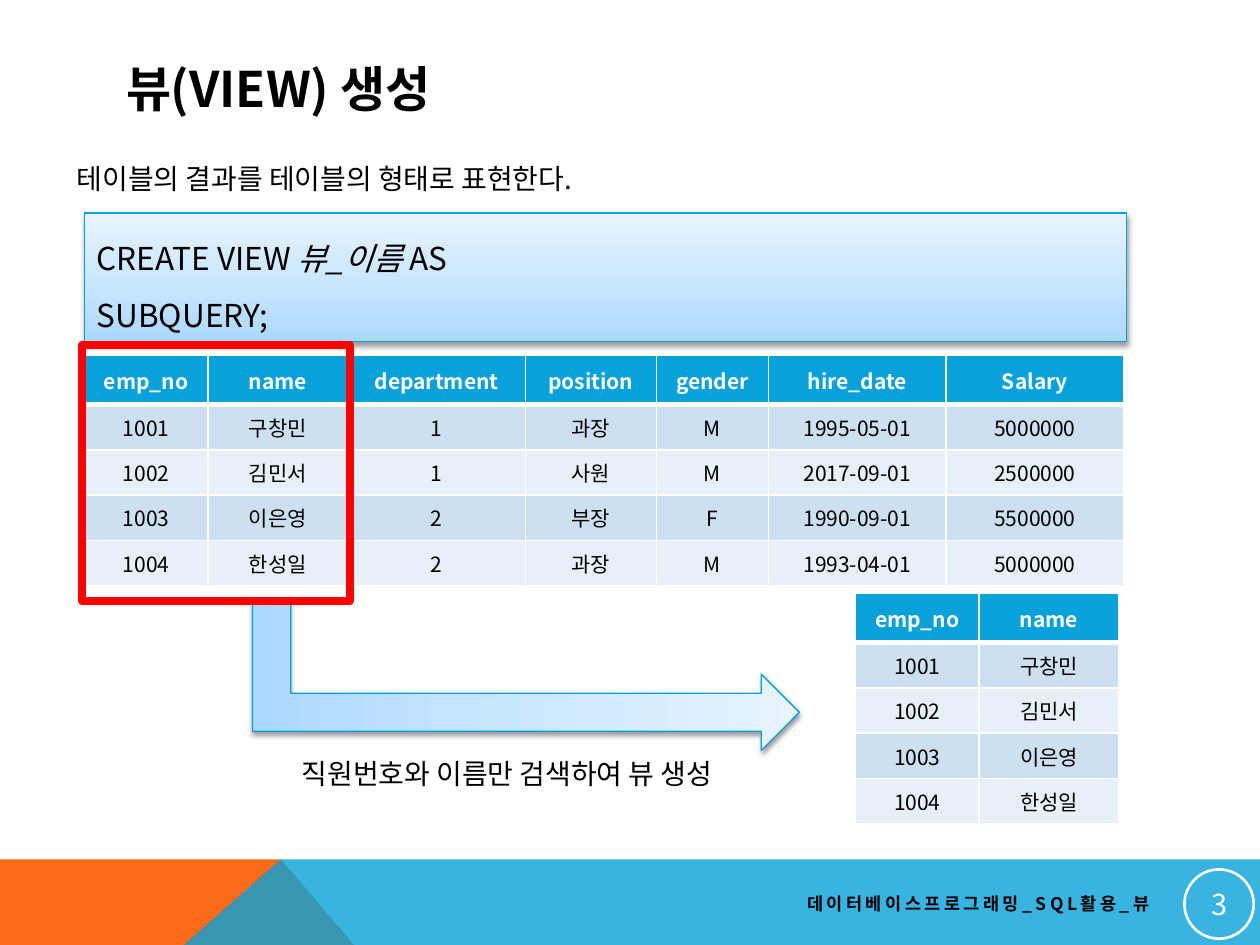
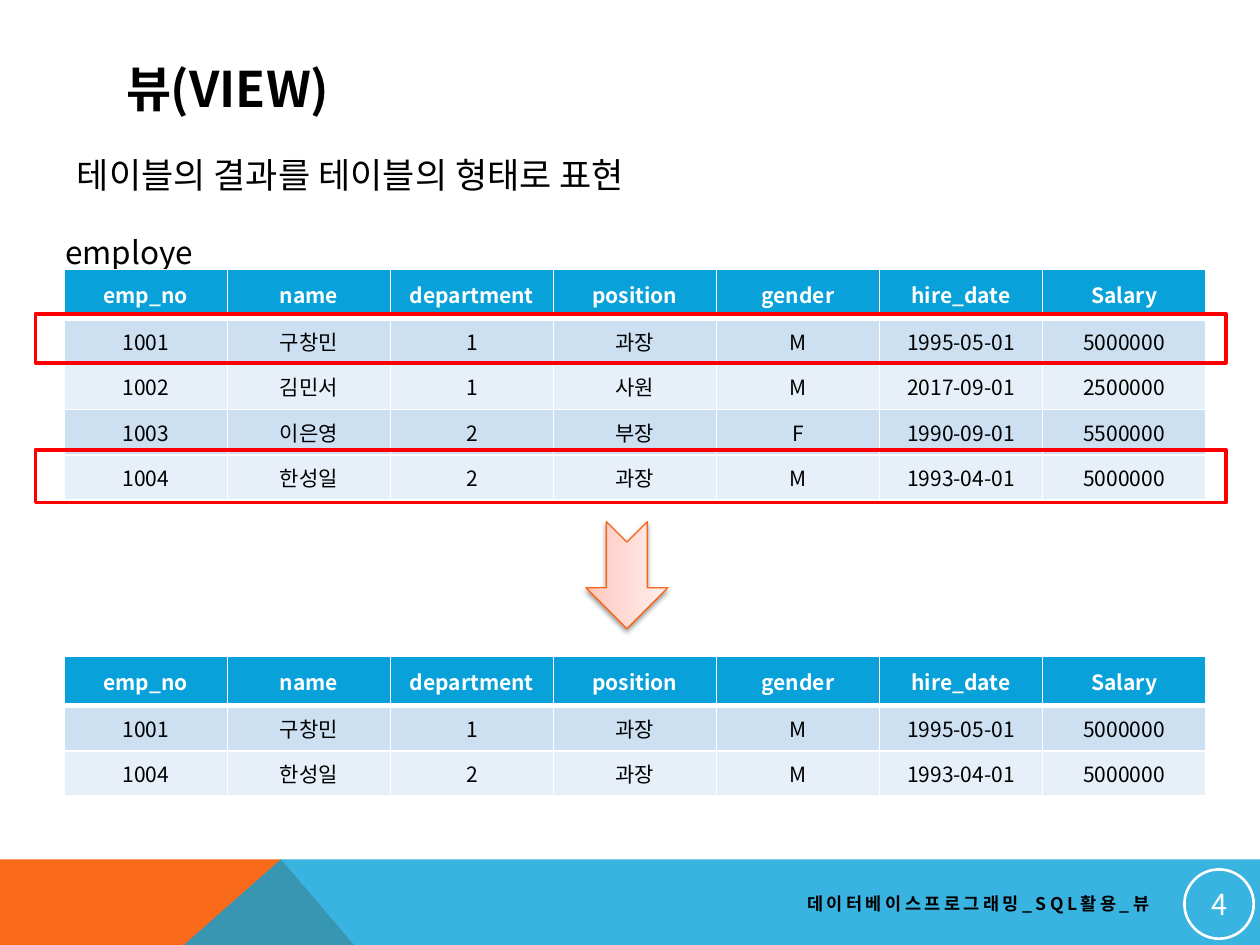
from dataclasses import dataclass

from lxml import etree
from pptx import Presentation
from pptx.dml.color import RGBColor
from pptx.enum.shapes import MSO_SHAPE as SHAPE
from pptx.enum.text import MSO_ANCHOR as ANCHOR, MSO_AUTO_SIZE as AUTO, PP_ALIGN as ALIGN
from pptx.oxml import parse_xml
from pptx.oxml.ns import nsdecls, qn
from pptx.util import Inches, Pt

# Content
FOOTER = "데이터베이스프로그래밍_SQL활용_뷰"
EMPLOYEES = [
    ("emp_no", "name", "department", "position", "gender", "hire_date", "Salary"),
    ("1001", "구창민", "1", "과장", "M", "1995-05-01", "5000000"),
    ("1002", "김민서", "1", "사원", "M", "2017-09-01", "2500000"),
    ("1003", "이은영", "2", "부장", "F", "1990-09-01", "5500000"),
    ("1004", "한성일", "2", "과장", "M", "1993-04-01", "5000000"),
]
NAME_VIEW = [row[:2] for row in EMPLOYEES]
MANAGER_VIEW = [row for i, row in enumerate(EMPLOYEES) if i == 0 or row[3] == "과장"]
SYNTAX = [
    [("CREATE VIEW ", False), ("뷰_이름 ", True), ("AS", False)],
    [("SUBQUERY;", False)],
]
CREATE_SLIDE = {
    "number": 3,
    "title": "뷰(VIEW) 생성",
    "lead": "테이블의 결과를 테이블의 형태로 표현한다.",
    "caption": "직원번호와 이름만 검색하여 뷰 생성",
}
VIEW_SLIDE = {
    "number": 4,
    "title": "뷰(VIEW)",
    "lead": "테이블의 결과를 테이블의 형태로 표현",
    "caption": "employee",
}


@dataclass(frozen=True)
class Theme:
    font: str = "Noto Sans CJK KR"
    text: str = "000000"
    white: str = "FFFFFF"
    orange: str = "F96A1B"
    blue: str = "08A1D9"
    mark: str = "FF0000"
    stripes: tuple = ("E7F0F8", "CCE0F1")
    blue_grad: tuple = ("ABD8FF", "C3E3FF", "E8F4FF")
    blue_line: str = "03A0D9"
    red_grad: tuple = ("FFC5BA", "FFD6CF", "FFEFED")
    red_line: str = "F96615"
    title_size: float = 28
    lead_size: float = 16
    big_lead_size: float = 20
    code_size: float = 18
    number_size: float = 16.5
    cell_size: float = 12
    footer_size: float = 10


T = Theme()
HEAD_H, ROW_H = 0.39, 0.36
NAME_COLS = [0.98, 1.11]
CREATE_COLS = NAME_COLS + [1.41, 1.04, 0.89, 1.41, 1.41]
VIEW_COLS = [9.06 / 7] * 7


# Text helpers
def rgb(color):
    return RGBColor.from_string(color)


def inches(*values):
    return [Inches(v) for v in values]


def style(tf, size, color=T.text, bold=False, align=ALIGN.LEFT, spacing=None):
    for p in tf.paragraphs:
        p.alignment = align
        if spacing:
            p.line_spacing = spacing
        for r in p.runs:
            r.font.size, r.font.bold, r.font.name = Pt(size), bold, T.font
            r.font.color.rgb = rgb(color)
            ea = etree.SubElement(r.font._element, qn("a:ea"))
            ea.set("typeface", T.font)


def add_text(s, box, text, size, anchor=ANCHOR.MIDDLE, wrap=True, **look):
    tf = s.shapes.add_textbox(*inches(*box)).text_frame
    tf.text, tf.word_wrap, tf.vertical_anchor = text, wrap, anchor
    style(tf, size, **look)
    return tf


def fill_placeholder(ph, box, text, size, anchor, bold=False):
    ph.left, ph.top, ph.width, ph.height = inches(*box)
    tf = ph.text_frame
    tf.text, tf.auto_size, tf.vertical_anchor = text, AUTO.NONE, anchor
    style(tf, size, bold=bold)
    return tf.paragraphs[0]


# Shape helpers
def add_shape(s, kind, box, line, width):
    sp = s.shapes.add_shape(kind, *inches(*box))
    sp.shadow.inherit = False
    sp.fill.background()
    sp.line.color.rgb, sp.line.width = rgb(line), Pt(width)
    return sp


def add_glossy(s, kind, box, colors, line):
    sp = add_shape(s, kind, box, line, 0.75)
    pr = sp._element.spPr
    stops = "".join(
        f'<a:gs pos="{pos}000"><a:srgbClr val="{c}"/></a:gs>'
        for pos, c in zip((0, 35, 100), colors))
    pr.replace(pr.find(qn("a:noFill")), parse_xml(
        f'<a:gradFill {nsdecls("a")} rotWithShape="1"><a:gsLst>{stops}</a:gsLst>'
        '<a:lin ang="16200000" scaled="0"/></a:gradFill>'))
    pr.find(qn("a:effectLst")).append(parse_xml(
        f'<a:outerShdw {nsdecls("a")} blurRad="{Pt(3.1)}" dist="{Pt(1.6)}" dir="5400000" '
        'rotWithShape="0"><a:srgbClr val="000000"><a:alpha val="38000"/></a:srgbClr>'
        '</a:outerShdw>'))
    return sp


def add_band(s, points, color, alpha=None):
    start, *rest = [inches(*pt) for pt in points]
    builder = s.shapes.build_freeform(*start)
    builder.add_line_segments(rest)
    sp = builder.convert_to_shape()
    sp.shadow.inherit = False
    sp.fill.solid()
    sp.fill.fore_color.rgb = rgb(color)
    sp.line.fill.background()
    if alpha:
        clr = sp._element.spPr.find(qn("a:solidFill"))[0]
        etree.SubElement(clr, qn("a:alpha")).set("val", str(alpha * 1000))


# Table helpers
def set_borders(cell, **widths):
    tc_pr = cell._tc.get_or_add_tcPr()
    for i, side in enumerate("LRTB"):
        tc_pr.insert(i, parse_xml(
            f'<a:ln{side} {nsdecls("a")} w="{Pt(widths.get(side, 1))}"><a:solidFill>'
            f'<a:srgbClr val="{T.white}"/></a:solidFill></a:ln{side}>'))


def add_table(s, left, top, cols, rows):
    height = HEAD_H + ROW_H * (len(rows) - 1)
    table = s.shapes.add_table(
        len(rows), len(cols), *inches(left, top, sum(cols), height)).table
    for column, width in zip(table.columns, cols):
        column.width = Inches(width)
    for i, values in enumerate(rows):
        head = i == 0
        table.rows[i].height = Inches(HEAD_H if head else ROW_H)
        for cell, value in zip(table.rows[i].cells, values):
            cell.text, cell.vertical_anchor = value, ANCHOR.MIDDLE
            style(cell.text_frame, T.cell_size, T.white if head else T.text,
                  bold=head, align=ALIGN.CENTER)
            cell.fill.solid()
            cell.fill.fore_color.rgb = rgb(T.blue if head else T.stripes[i % 2])
            set_borders(cell, B=3 if head else 1, T=3 if i == 1 else 1)


# Shared frame: bands, title, lead line, page number, footer
def add_frame(prs, content, lead_top, lead_size):
    s = prs.slides.add_slide(prs.slide_layouts[1])
    add_band(s, [(0, 6.82), (2.23, 6.82), (2.81, 7.5), (0, 7.5)], T.orange)
    add_band(s, [(2.23, 6.82), (10, 6.82), (10, 7.5), (1.46, 7.5)], T.blue, alpha=80)
    fill_placeholder(s.shapes.title, (0.9, 0.4, 8.22, 0.6), content["title"],
                     T.title_size, ANCHOR.MIDDLE, bold=True)
    p = fill_placeholder(s.placeholders[1], (0.51, lead_top, 8.22, 0.5),
                         content["lead"], lead_size, ANCHOR.TOP)
    p.space_before = Pt(8)
    p_pr = p._p.get_or_add_pPr()
    p_pr.set("marL", "0")
    p_pr.set("indent", "0")
    etree.SubElement(p_pr, qn("a:buNone"))

    badge = add_shape(s, SHAPE.OVAL, (9.4, 6.9, 0.55, 0.55), T.white, 1.5)
    tf = badge.text_frame
    tf.margin_left = tf.margin_right = tf.margin_top = tf.margin_bottom = Inches(0.01)
    tf.text, tf.vertical_anchor = str(content["number"]), ANCHOR.MIDDLE
    style(tf, T.number_size, T.white, align=ALIGN.CENTER)

    footer = add_text(s, (3.58, 7.02, 5.64, 0.3), FOOTER, T.footer_size,
                      bold=True, align=ALIGN.RIGHT)
    footer.paragraphs[0].runs[0].font._element.set("spc", "200")
    return s


def build_create_slide(prs):
    s = add_frame(prs, CREATE_SLIDE, 1.23, T.lead_size)

    # Syntax box
    syntax = add_glossy(s, SHAPE.RECTANGLE, (0.67, 1.69, 8.27, 1.02),
                        T.blue_grad, T.blue_line)
    tf = syntax.text_frame
    tf.vertical_anchor = ANCHOR.MIDDLE
    for i, parts in enumerate(SYNTAX):
        p = tf.add_paragraph() if i else tf.paragraphs[0]
        for text, italic in parts:
            r = p.add_run()
            r.text, r.font.italic = text, italic
    style(tf, T.code_size, spacing=1.5)

    # Source table, resulting view and the arrow between them
    add_table(s, 0.67, 2.82, CREATE_COLS, EMPLOYEES)
    add_table(s, 6.79, 4.71, NAME_COLS, NAME_VIEW)
    arrow = add_glossy(s, SHAPE.BENT_UP_ARROW, (3.57, 3.18, 1.21, 4.34),
                       T.blue_grad, T.blue_line)
    arrow.rotation = 270
    for flip in ("flipH", "flipV"):
        arrow._element.spPr.xfrm.set(flip, "1")
    add_text(s, (2.02, 5.88, 4.01, 0.52), CREATE_SLIDE["caption"], T.lead_size,
             align=ALIGN.CENTER)
    add_shape(s, SHAPE.RECTANGLE, (0.65, 2.74, 2.13, 2.03), T.mark, 4.5)


def build_view_slide(prs):
    s = add_frame(prs, VIEW_SLIDE, 1.17, T.big_lead_size)
    arrow = add_glossy(s, SHAPE.NOTCHED_RIGHT_ARROW, (4.55, 4.24, 0.85, 0.65),
                       T.red_grad, T.red_line)
    arrow.rotation = 90
    label = add_text(s, (0.42, 1.65, 1.32, 0.5), VIEW_SLIDE["caption"], T.code_size,
                     anchor=ANCHOR.TOP, wrap=False, spacing=1.5)
    label.auto_size = AUTO.SHAPE_TO_FIT_TEXT

    # Source table with the selected rows marked, then the resulting view
    add_table(s, 0.51, 2.14, VIEW_COLS, EMPLOYEES)
    for top, height in ((2.49, 0.39), (3.57, 0.42)):
        add_shape(s, SHAPE.RECTANGLE, (0.28, top, 9.45, height), T.mark, 2)
    add_table(s, 0.51, 5.21, VIEW_COLS, MANAGER_VIEW)


def main():
    prs = Presentation()
    prs.slide_width, prs.slide_height = inches(10, 7.5)
    build_create_slide(prs)
    build_view_slide(prs)
    prs.save("out.pptx")


if __name__ == "__main__":
    main()
